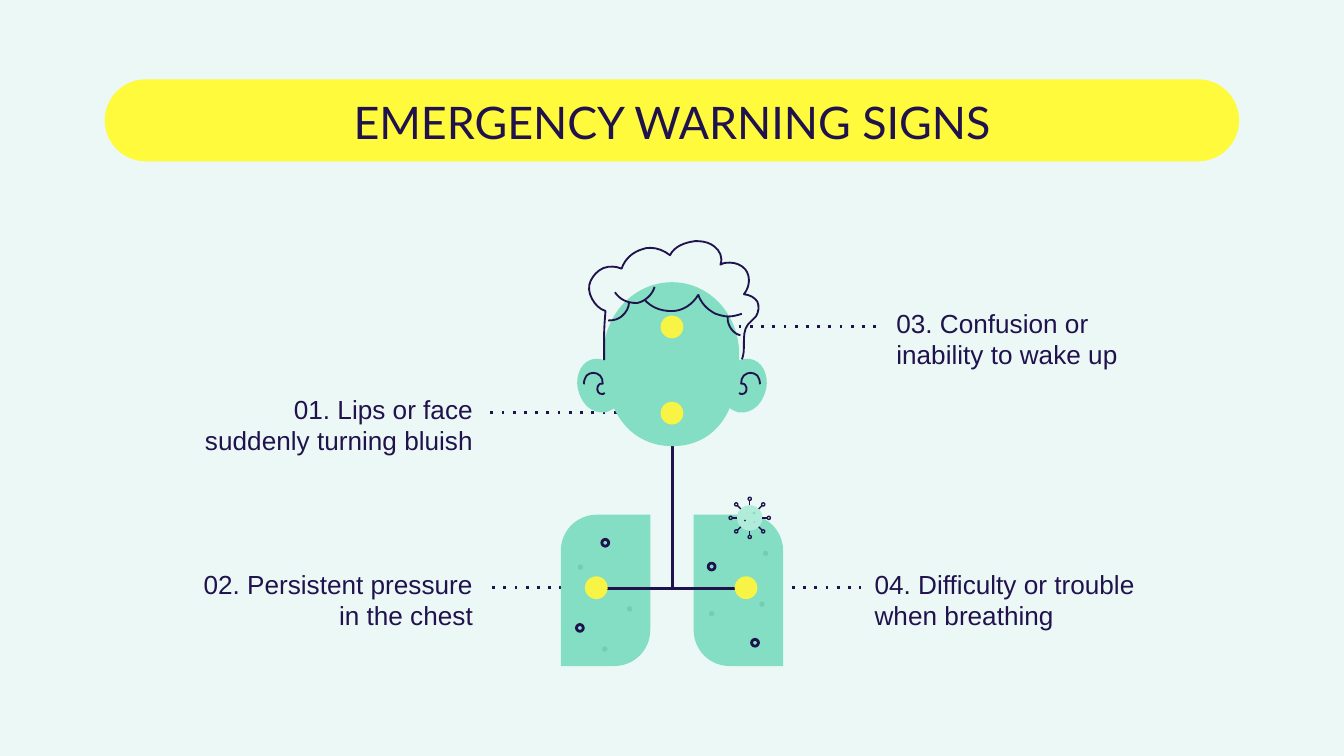
from dataclasses import dataclass
from math import cos, pi, sin

from lxml.etree import SubElement
from pptx import Presentation
from pptx.dml.color import RGBColor as Rgb
from pptx.enum.shapes import MSO_CONNECTOR as Link, MSO_SHAPE as Kind
from pptx.enum.text import MSO_ANCHOR as Anchor, PP_ALIGN as Align
from pptx.oxml.ns import qn
from pptx.util import Cm, Pt


@dataclass
class Theme:
    back: Rgb = Rgb.from_string("ECF8F5")
    ink: Rgb = Rgb.from_string("20124D")
    band: Rgb = Rgb.from_string("FFFA3B")
    spot: Rgb = Rgb.from_string("F8F446")
    skin: Rgb = Rgb.from_string("84DEC3")
    speck: Rgb = Rgb.from_string("75CCB2")
    germ: Rgb = Rgb.from_string("B1EBDA")
    head: Pt = Pt(24)
    text: Pt = Pt(14)
    bold: Pt = Pt(1.5)
    thin: Pt = Pt(1)
    fine: Pt = Pt(0.75)


look = Theme()
deck = Presentation()
deck.slide_width, deck.slide_height = Cm(25.4), Cm(14.29)
slide = deck.slides.add_slide(deck.slide_layouts[5])
slide.background.fill.solid()
slide.background.fill.fore_color.rgb = look.back
shapes = slide.shapes


def dot(x, y, size, fill=None, width=None):
    disc = shapes.add_shape(Kind.OVAL, Cm(x - size / 2), Cm(y - size / 2), Cm(size), Cm(size))
    disc.shadow.inherit = False
    if fill is None:
        disc.fill.background()
        disc.line.color.rgb = look.ink
        disc.line.width = width
    else:
        disc.fill.solid()
        disc.fill.fore_color.rgb = fill
        disc.line.fill.background()


def rule(x1, y1, x2, y2, width, dash=None):
    link = shapes.add_connector(Link.STRAIGHT, Cm(x1), Cm(y1), Cm(x2), Cm(y2))
    link.line.color.rgb = look.ink
    link.line.width = width
    if dash:
        SubElement(link.line._get_or_add_ln(), qn("a:prstDash"), val=dash)
    SubElement(link._element.spPr, qn("a:effectLst"))


band = shapes.add_shape(Kind.ROUNDED_RECTANGLE, Cm(1.98), Cm(1.5), Cm(21.44), Cm(1.55))
band.adjustments[0] = 0.5
band.shadow.inherit = False
band.fill.solid()
band.fill.fore_color.rgb = look.band
band.line.fill.background()
shapes._spTree.insert(2, band._element)

title = shapes.title
title.left, title.top, title.width, title.height = Cm(4.84), Cm(1.54), Cm(15.72), Cm(1.52)
frame = title.text_frame
frame.margin_left = frame.margin_right = frame.margin_top = frame.margin_bottom = Cm(0.25)
frame.vertical_anchor = Anchor.MIDDLE
frame.text = "EMERGENCY WARNING SIGNS"
para = frame.paragraphs[0]
para.alignment = Align.CENTER
para.font.name, para.font.size, para.font.color.rgb = "Lato", look.head, look.ink

signs = [
    ("04. Difficulty or trouble when breathing", 16.28, 10.48, Align.LEFT),
    ("02. Persistent pressure in the chest", 3.5, 10.48, Align.RIGHT),
    ("03. Confusion or inability to wake up", 16.69, 5.55, Align.LEFT),
    ("01. Lips or face suddenly turning bluish", 3.5, 7.18, Align.RIGHT),
]
for words, x, y, side in signs:
    frame = shapes.add_textbox(Cm(x), Cm(y), Cm(5.69), Cm(1.24)).text_frame
    frame.word_wrap = True
    frame.vertical_anchor = Anchor.MIDDLE
    frame.margin_left = frame.margin_right = Cm(0.25)
    frame.margin_top, frame.margin_bottom = Cm(0.46), 0
    frame.text = words
    para = frame.paragraphs[0]
    para.alignment = side
    para.space_after = Pt(16)
    para.font.name, para.font.size, para.font.color.rgb = "Arial", look.text, look.ink

for start, end, y in [(12.5, 9.19, 7.8), (11.05, 9.19, 11.1), (14.33, 16.28, 11.1), (12.9, 16.69, 6.17)]:
    rule(start, y, end, y, look.bold, "dot")

for x, bends in [(10.6, (0.4, 0)), (13.11, (0, 0.4))]:
    lung = shapes.add_shape(Kind.ROUND_2_DIAG_RECTANGLE, Cm(x), Cm(9.73), Cm(1.69), Cm(2.86))
    lung.adjustments[0], lung.adjustments[1] = bends
    lung.shadow.inherit = False
    lung.fill.solid()
    lung.fill.fore_color.rgb = look.skin
    lung.line.fill.background()
rule(11.4, 11.12, 14, 11.12, look.bold)
rule(12.71, 11.15, 12.71, 8.03, look.bold)
for x, y in [(11.44, 10.26), (14.27, 12.15), (10.96, 11.87), (13.45, 10.71)]:
    dot(x, y, 0.13, width=look.bold)
for x, y in [(10.97, 10.72), (11.9, 11.51), (11.43, 12.27), (14.47, 10.46), (13.45, 11.6), (14.4, 11.42)]:
    dot(x, y, 0.1, look.speck)

face = """500 210 472 210 449 234 449 264 449 310 472 332 500 332
528 332 550 312 550 264 550 234 528 210 500 210"""
ear = """444 267 443 267 441 267 439 268 431 271 427 283 431 293
434 302 441 307 448 307 450 307 452 307 453 306
462 303 465 291 462 281 458 272 451 267 444 267"""
fold = """434.5 286 434.5 283 435.5 281 436.5 279.5 438 278 440 277.5 441.5 277.5
443 277.5 445 278 446.5 279.5 448 281 448.5 283 448.5 285.5
447 285.5 446 285.5 445.5 286.5 444.5 287.5 444.5 289 444.5 290
444.5 291.5 445.5 292.5 446.5 293 448 293.5 449.5 293.5 450 292.5"""
hair = """449.5 268 449.5 262 449.5 255 449.5 250 449.5 244 450 238 450.5 231.5
446 230 443 227 440.5 222.5 438 218 437.5 213 439.5 209
441.5 205 444.5 201.5 449 199.5 451.5 198.5 453.5 198.5 456 198.5
458 198.5 460 199 462.5 200 465 192.5 471 187.5 478 185.5
480 184.5 482 184.5 484 184.5 489 184.5 494 186.5 498.5 190
502 183 510 180.5 517 179.5 518 179.5 518 179.5 519 179.5
524 179.5 528.5 181 531.5 183.5 535.5 186.5 538 191.5 536 197
538.5 195.5 541 195.5 543 195.5 547 195.5 551.5 197 554.5 200.5
558.5 205.5 558 213.5 553.5 219 558 219.5 561.5 221.5 563.5 224.5
565 228 564.5 232 562.5 235.5 561.5 236.5 560.5 237.5 559.5 238.5
558.5 239.5 557.5 240.5 556.5 241.5 553.5 245.5 553.5 250 553.5 256
553.5 260 553.5 264 552 267.5"""
locks = [
    "519.5 219 521.5 225.5 526.5 230.5 532.5 233.5 535.5 234.5 539 235.5 542 235.5 545.5 235.5 549 234.5 552 233.5",
    "541.5 236 541 242 545.5 248.5 551 249.5",
    "519.5 219.5 515.5 226.5 508 231.5 500 231.5 491 231.5 484.5 228.5 479.5 223",
    "487 213.5 485.5 219.5 479.5 224.5 474 225.5 466 225.5 461 222.5 457.5 217.5",
    "468 225 468 229 466 232.5 462.5 235.5 460 237.5 457 238.5 452.5 238.5",
]
unit = Cm(2.54) / 100
curves = [(face, True, False)]
curves += [(ear, True, flip) for flip in (False, True)]
curves += [(fold, False, flip) for flip in (False, True)]
curves += [(lock, False, False) for lock in [hair, *locks]]
for data, solid, flip in curves:
    nums = [float(word) * unit for word in data.split()]
    knots = [(1000 * unit - x if flip else x, y) for x, y in zip(nums[::2], nums[1::2])]
    pen = shapes.build_freeform(*knots[0])
    pen.add_line_segments(knots[1:], close=solid)
    curve = pen.convert_to_shape()
    legs = list(curve._element.iter(qn("a:lnTo")))
    for first, second, third in zip(legs[::3], legs[1::3], legs[2::3]):
        first.tag = qn("a:cubicBezTo")
        for leg in (second, third):
            first.append(leg[0])
            leg.getparent().remove(leg)
    curve.shadow.inherit = False
    if solid:
        curve.fill.solid()
        curve.fill.fore_color.rgb = look.skin
        curve.line.fill.background()
    else:
        curve.fill.background()
        curve.line.color.rgb = look.ink
        curve.line.width = look.thin

for x, y in [(12.7, 7.81), (12.7, 6.18), (14.1, 11.11), (11.27, 11.11)]:
    dot(x, y, 0.43, look.spot)

mid, row = 14.17, 9.79
dot(mid, row, 0.48, look.germ)
for n in range(8):
    dx, dy = cos(n * pi / 4), sin(n * pi / 4)
    rule(mid + 0.24 * dx, row + 0.24 * dy, mid + 0.33 * dx, row + 0.33 * dy, look.fine)
    dot(mid + 0.36 * dx, row + 0.36 * dy, 0.06, width=look.fine)
for x, y, size, fill in [(14.25, 9.7, 0.05, look.skin), (14.08, 9.84, 0.03, look.ink), (14.26, 9.87, 0.03, look.skin)]:
    dot(x, y, size, fill)

deck.save("out.pptx")
